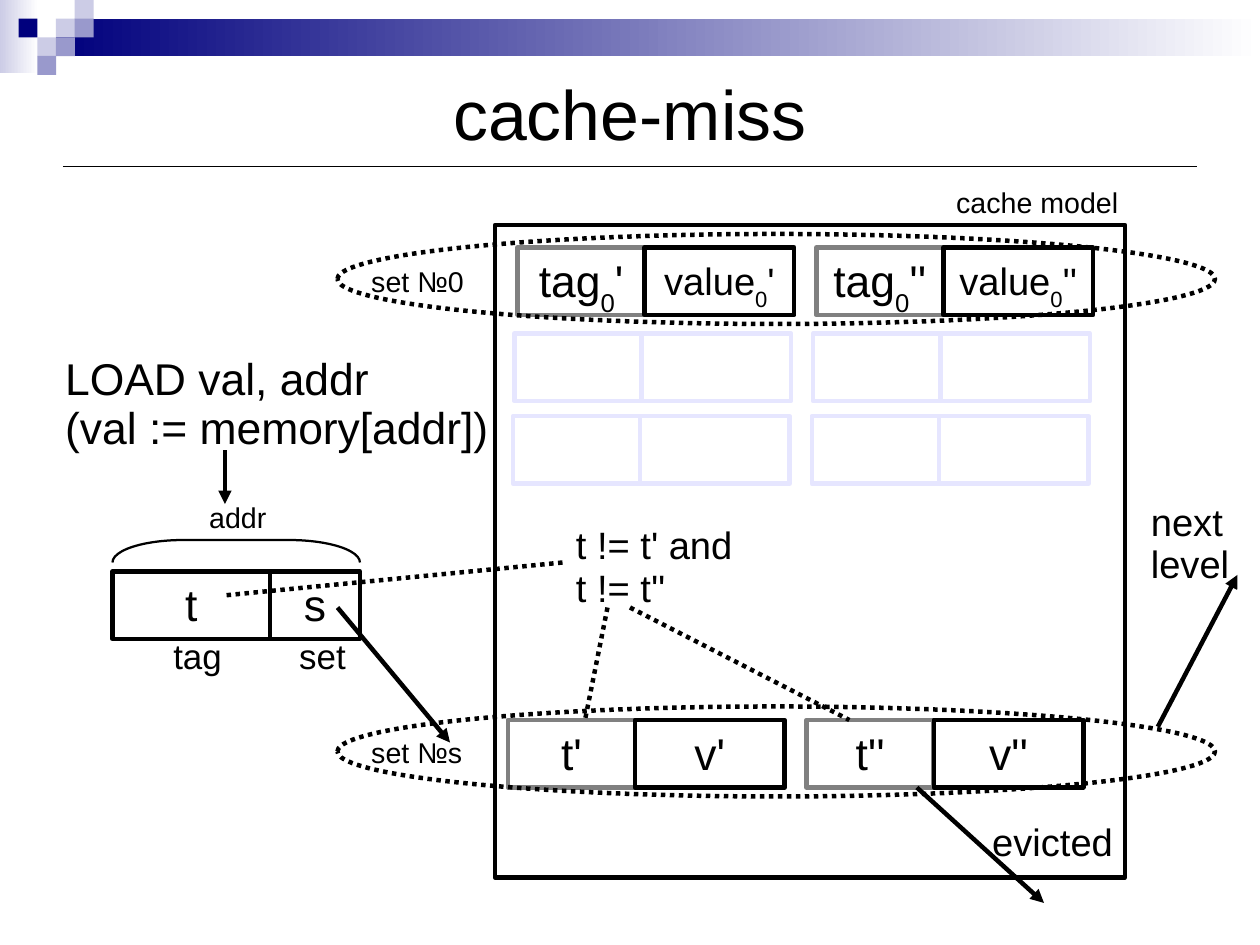
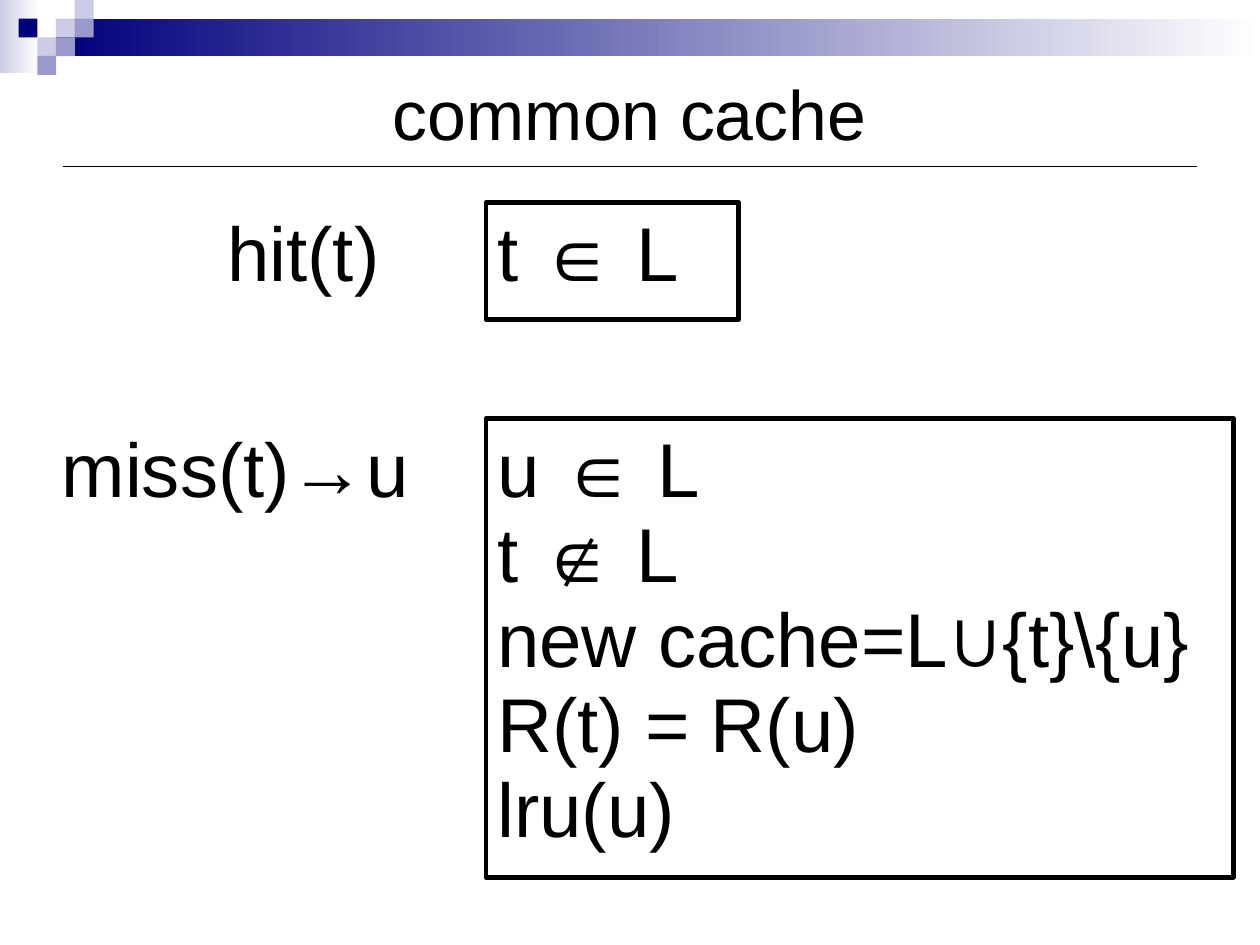
from dataclasses import dataclass

from lxml.etree import SubElement
from pptx import Presentation
from pptx.dml.color import RGBColor
from pptx.enum.dml import MSO_LINE
from pptx.enum.shapes import MSO_CONNECTOR, MSO_SHAPE
from pptx.enum.text import MSO_ANCHOR, MSO_AUTO_SIZE, PP_ALIGN
from pptx.oxml.ns import qn
from pptx.util import Cm, Emu, Inches, Pt

COLORS = {
    "ink": "000000", "paper": "FFFFFF", "gray": "808080", "faded": "E6E6FF",
    "navy": "00007D", "mid": "9999CC", "light": "CCCCE6",
}
FONT = "Arial"
HEAVY = 2.83
COLUMNS, ROWS = 56, 42  # the slide is a grid of half-centimetre squares
TILE = 0.83
TAG_WIDTH, VALUE_WIDTH, CELL_HEIGHT, PAIR_PITCH = 5.65, 6.65, 3, 13.28


@dataclass(frozen=True)
class Area:
    column: float
    row: float
    columns: float
    rows: float

    def place(self) -> tuple[Emu, ...]:
        return tuple(map(grid, (self.column, self.row, self.columns, self.rows)))


@dataclass(frozen=True)
class Label:
    text: str  # "|" switches subscript on and off, "\v" breaks the line
    size: int
    area: Area
    wrap: bool = False


@dataclass(frozen=True)
class Link:
    start: tuple[float, float]
    end: tuple[float, float]
    arrow: bool = False
    dotted: bool = False
    weight: float = HEAVY


@dataclass(frozen=True)
class CacheRow:
    column: float
    row: float
    texts: tuple[str, ...] = ("",) * 4
    value_size: int = 28
    faded: bool = False


def grid(count: float) -> Emu:
    return Emu(round(count * Cm(0.5)))


def color(name: str) -> RGBColor:
    return RGBColor.from_string(COLORS[name])


# Text
def style(para, size: int) -> None:
    para.font.name = FONT
    para.font.size = Pt(size)
    para.font.color.rgb = color("ink")


def write(frame, text: str, size: int, centered: bool = False, wrap: bool = True) -> None:
    frame.word_wrap = wrap
    frame.auto_size = MSO_AUTO_SIZE.NONE
    frame.margin_left = frame.margin_right = Inches(0.1)
    frame.margin_top = Inches(0.05 + size / 1000)
    frame.margin_bottom = Inches(0.05)
    frame.vertical_anchor = MSO_ANCHOR.MIDDLE if centered else MSO_ANCHOR.TOP
    for index, line in enumerate(text.split("\n")):
        para = frame.add_paragraph() if index else frame.paragraphs[0]
        para.alignment = PP_ALIGN.CENTER if centered else PP_ALIGN.LEFT
        para.line_spacing = 0.93
        first, *others = line.split("|")
        para.text = first
        for position, part in enumerate(others):
            span = para.add_run()
            span.text = part
            if position % 2 == 0:
                span._r.get_or_add_rPr().set("baseline", "-33000")
        style(para, size)


def add_label(page, label: Label) -> None:
    box = page.shapes.add_textbox(*label.area.place())
    write(box.text_frame, label.text, label.size, wrap=label.wrap)


# Shapes and lines
def add_outline(page, area: Area, kind=MSO_SHAPE.RECTANGLE, line: str = "ink",
                weight: float = HEAVY, dotted: bool = False):
    shape = page.shapes.add_shape(kind, *area.place())
    shape.shadow.inherit = False
    shape.fill.background()
    shape.line.color.rgb = color(line)
    shape.line.width = Pt(weight)
    if dotted:
        shape.line.dash_style = MSO_LINE.ROUND_DOT
    return shape


def add_cell(page, area: Area, text: str, size: int, line: str = "ink") -> None:
    cell = add_outline(page, area, line=line)
    if text:
        write(cell.text_frame, text, size, centered=True)


def add_link(page, link: Link):
    connector = page.shapes.add_connector(
        MSO_CONNECTOR.STRAIGHT, *map(grid, link.start + link.end))
    connector.line.color.rgb = color("ink")
    connector.line.width = Pt(link.weight)
    if link.dotted:
        connector.line.dash_style = MSO_LINE.ROUND_DOT
    properties = connector.element.spPr
    if link.arrow:
        SubElement(properties.find(qn("a:ln")), qn("a:tailEnd"), type="triangle")
    SubElement(properties, qn("a:effectLst"))
    return connector


def add_block(page, area: Area, fill: str, fading: bool = False):
    block = page.shapes.add_shape(MSO_SHAPE.RECTANGLE, *area.place())
    block.shadow.inherit = False
    block.line.fill.background()
    if fading:
        block.fill.gradient()
        block.fill.gradient_angle = 0
        for stop, name in zip(block.fill.gradient_stops, (fill, "paper")):
            stop.color.rgb = color(name)
    else:
        block.fill.solid()
        block.fill.fore_color.rgb = color(fill)
    return block


def add_cache_row(page, row: CacheRow) -> None:
    for index, text in enumerate(row.texts):
        pair, is_value = divmod(index, 2)
        area = Area(row.column + pair * PAIR_PITCH + is_value * TAG_WIDTH, row.row,
                    VALUE_WIDTH if is_value else TAG_WIDTH, CELL_HEIGHT)
        line = "faded" if row.faded else "ink" if is_value else "gray"
        add_cell(page, area, text, row.value_size if is_value else 28, line)


# Shared band, tiles and rule, kept on the layout
def decorate(layout, page) -> None:
    tiles = [(3, 1, "light"), (4, 0, "light"), (4, 1, "mid"), (2, 2, "light"),
             (1, 1, "navy"), (3, 2, "mid"), (2, 3, "mid")]
    parts = [
        add_block(page, Area(0, 0, 1.7, 3.25), "light", fading=True),
        add_block(page, Area(2.5, TILE, COLUMNS - 2.5, 2 * TILE), "navy", fading=True),
        *(add_block(page, Area(column * TILE, row * TILE, 0.84, 0.84), fill)
          for column, row, fill in tiles),
        add_link(page, Link((2.8, 7.4), (COLUMNS - 2.8, 7.4), weight=0.75)),
    ]
    for part in parts:
        layout.shapes.element.append(part.element)


def add_page(deck, layout, title: str):
    page = deck.slides.add_slide(layout)
    holder = page.shapes.title
    holder.left, holder.top, holder.width, holder.height = Area(
        2.8, 2.9, COLUMNS - 5.6, 4).place()
    frame = holder.text_frame
    frame.text = title
    frame.auto_size = MSO_AUTO_SIZE.NONE
    frame.vertical_anchor = MSO_ANCHOR.MIDDLE
    frame.margin_left = frame.margin_right = frame.margin_bottom = 0
    frame.margin_top = Inches(0.04)
    frame.paragraphs[0].alignment = PP_ALIGN.CENTER
    style(frame.paragraphs[0], 44)
    return page


# Slide: cache-miss
def fill_miss_page(page) -> None:
    add_outline(page, Area(22, 10, 28, 29))

    # Address split into tag and set
    add_cell(page, Area(5, 25.4, 7, 3), "t", 28)
    add_cell(page, Area(12, 25.4, 4, 3), "s", 28)
    bracket = add_outline(page, Area(10, 19, 1, 11), MSO_SHAPE.RIGHT_BRACKET, weight=1.42)
    bracket.adjustments[0] = 3.15
    bracket.rotation = 270

    # Cache sets
    for row in (
        CacheRow(23, 11, ("tag|0|'", "value|0|'", "tag|0|''", "value|0|''"), 24),
        CacheRow(22.86, 14.83, faded=True),
        CacheRow(22.8, 18.5, faded=True),
        CacheRow(22.57, 32, ("t'", "v'", "t''", "v''")),
    ):
        add_cache_row(page, row)
    for top in (10.4, 31.4):
        add_outline(page, Area(15, top, 39, 4), MSO_SHAPE.OVAL, dotted=True)

    for link in (
        Link((10, 20), (10, 22.4), arrow=True),
        Link((15, 27), (20, 33), arrow=True),
        Link((51.46, 32.3), (55, 25.55), arrow=True),
        Link((40.75, 35), (46.4, 40.13), arrow=True),
        Link((27, 27), (26, 32), dotted=True),
        Link((28, 27), (37.75, 32), dotted=True),
        Link((25, 25), (10, 26.46), dotted=True),
    ):
        add_link(page, link)

    for label in (
        Label("LOAD val, addr\n(val := memory[addr])", 28, Area(2.4, 15.4, 19.86, 4.88)),
        Label("addr", 18, Area(8.8, 22, 3.56, 1.93)),
        Label("tag", 22, Area(7.2, 28, 3.15, 2.24)),
        Label("set", 22, Area(12.8, 28, 3.1, 2.24)),
        Label("set №0", 18, Area(16, 11.5, 5.13, 1.93)),
        Label("set №s", 18, Area(16, 32.46, 5.03, 1.93)),
        Label("t != t' and\vt != t''", 24, Area(25.1, 23, 7.98, 4.27)),
        Label("cache model", 18, Area(42, 8, 8.18, 1.93)),
        Label("next\vlevel", 24, Area(50.65, 21.95, 4.47, 4.27)),
        Label("evicted", 24, Area(43.6, 36.17, 6.35, 2.39)),
    ):
        add_label(page, label)


# Slide: common cache
def fill_common_page(page) -> None:
    for label in (
        Label("hit(t)", 48, Area(9.6, 9, 9.35, 5.2), wrap=True),
        Label("miss(t)→u", 48, Area(2.24, 18.6, 18.14, 6.5), wrap=True),
    ):
        add_label(page, label)
    for text, area in (
        ("t ∈ L", Area(21.6, 9, 11.23, 5.2)),
        ("u ∈ L\vt ∉ L\nnew cache=L∪{t}\\{u}\vR(t) = R(u)\vlru(u)",
         Area(21.6, 18.6, 33.22, 20.4)),
    ):
        write(add_outline(page, area).text_frame, text, 48)


def main() -> None:
    deck = Presentation()
    deck.slide_width, deck.slide_height = grid(COLUMNS), grid(ROWS)
    layout = deck.slide_layouts.get_by_name("Title Only")
    miss_page = add_page(deck, layout, "cache-miss")
    decorate(layout, miss_page)
    fill_miss_page(miss_page)
    fill_common_page(add_page(deck, layout, "common cache"))
    deck.save("out.pptx")


if __name__ == "__main__":
    main()
